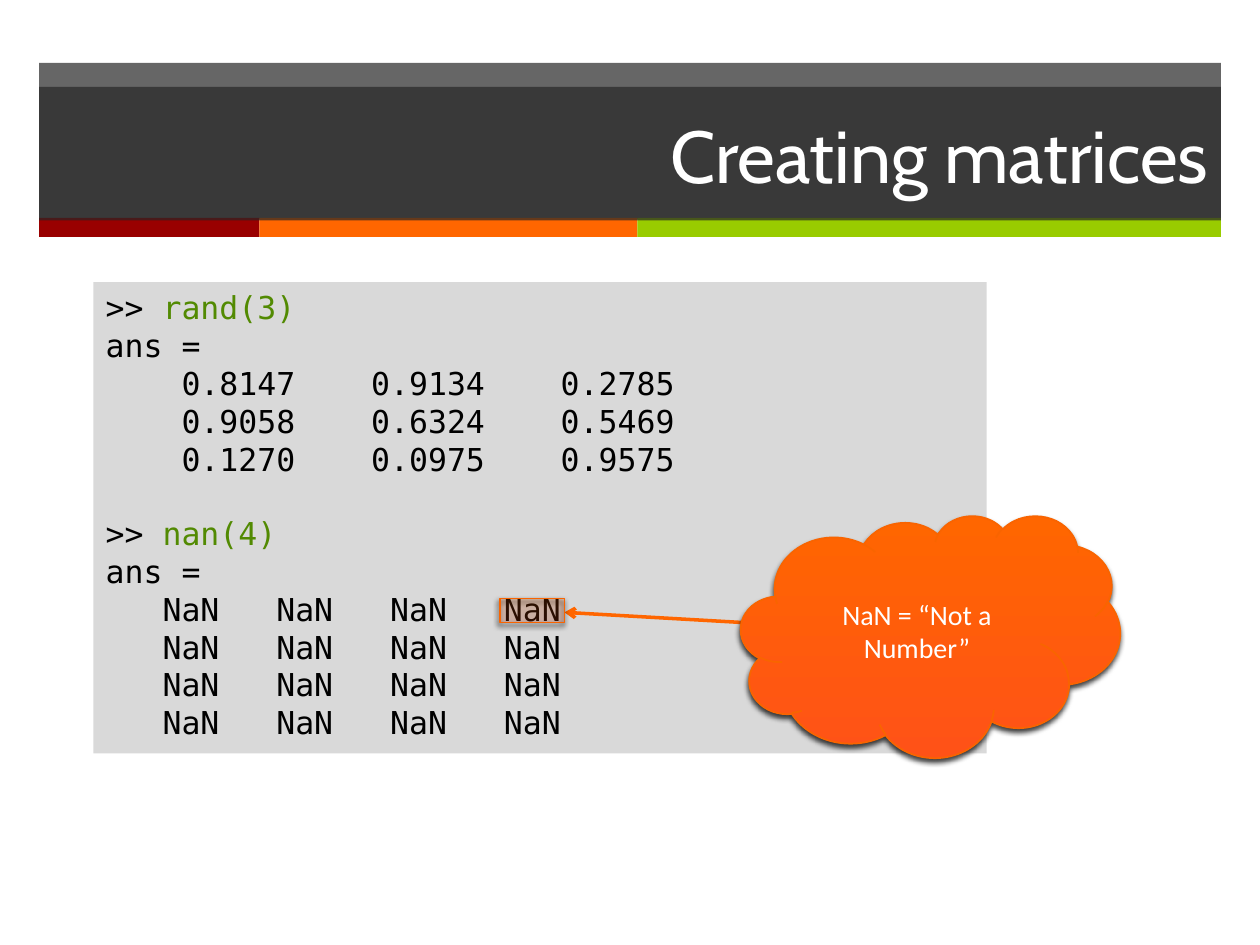
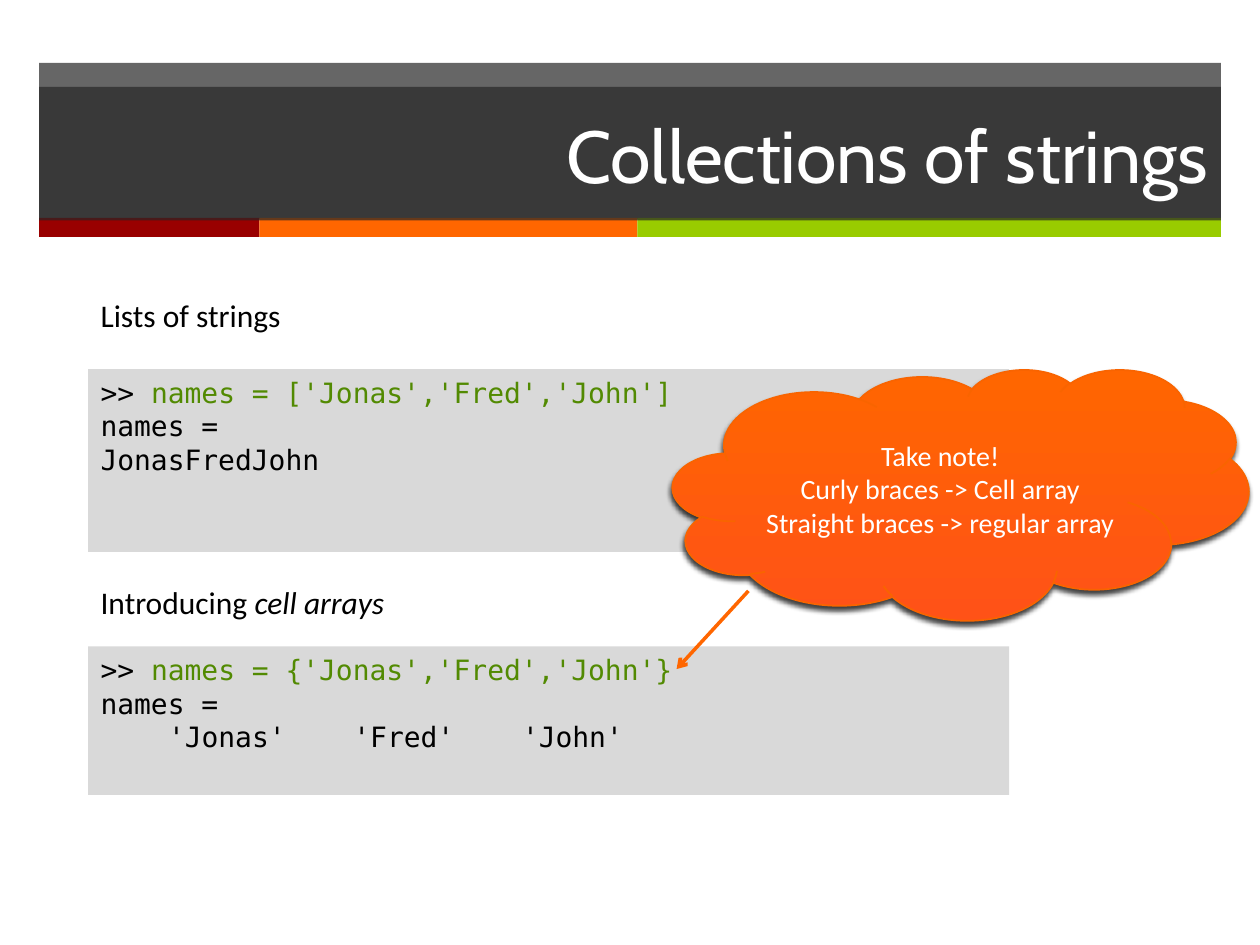
import lxml.etree
import pptx
import pptx.dml.color
import pptx.enum.shapes
import pptx.enum.text
import pptx.oxml.ns
import pptx.util

BLACK, WHITE, CHARCOAL, PANEL = "000000", "FFFFFF", "262626", "D9D9D9"
GREEN_INPUT, ORANGE, RED_ORANGE, OUTLINE = "528A02", "FF6600", "FF5217", "F96400"
TITLE_FONT, BODY_FONT, CODE_FONT = "Cabin", "Calibri", "DejaVu Sans Mono"
CHARACTER_WIDTH = 0.602  # width of a code character, as a share of the font size
LINE_HEIGHT = 1.164  # height of a code line, as a share of the font size

SHAPES = pptx.enum.shapes.MSO_SHAPE
ALIGN = pptx.enum.text.PP_ALIGN
ANCHOR = pptx.enum.text.MSO_ANCHOR

presentation = pptx.Presentation()
presentation.slide_width = pptx.util.Inches(10)
presentation.slide_height = pptx.util.Inches(7.5)
cell = presentation.slide_width / 100  # square grid of 100 columns and 75 rows


def colour(hex_string):
    return pptx.dml.color.RGBColor.from_string(hex_string)


def add_element(parent, tag, **attributes):
    element = lxml.etree.SubElement(parent, pptx.oxml.ns.qn(tag))
    for name, value in attributes.items():
        element.set(name, str(value))
    return element


# Bands across the top: left, top, width, height, colour
bands = [(3.1, 5, 93.8, 12.4, CHARCOAL)]
left = 3.1
for width, band_colour in ((17.5, "990000"), (30, ORANGE), (46.3, "99CC00")):
    bands.append((left, 17.3, width, 1.5, band_colour))
    left += width

# A line is a list of runs, every second one emphasised,
# or a table row: the gap in characters before each value, and the values
random_rows = [(4, ["0.8147", "0.9134", "0.2785"]),
               (4, ["0.9058", "0.6324", "0.5469"]),
               (4, ["0.1270", "0.0975", "0.9575"])]
nan_rows = [(3, ["NaN"] * 4)] * 4

slides = [
    {"title": "Creating matrices",
     "code": [((7.4, 22.4, 70.9, 37.4), 18,
               [[">> ", "rand(3)"], ["ans ="], *random_rows,
                [">> ", "nan(4)"], ["ans ="], *nan_rows])],
     "labels": [],
     "highlights": [(39.7, 47.5, 5.1, 1.9)],
     "arrow": (58.8, 49.4, 44.8, 48.6),
     "cloud": (58.8, 40.9, 30.1, 19.2),
     "message": ["NaN = “Not a Number”"]},
    {"title": "Collections of strings",
     "code": [((7, 29.3, 73.1, 14.5), 16,
               [[">> ", "names = ['Jonas','Fred','John']"], ["names ="], ["JonasFredJohn"]]),
              ((7, 51.3, 73.1, 11.8), 16,
               [[">> ", "names = {'Jonas','Fred','John'}"], ["names ="],
                (4, ["'Jonas'", "'Fred'", "'John'"])])],
     "labels": [((7, 23, 35.4, 4), 18, [["Lists of strings"]]),
                ((7, 45.8, 32.2, 4), 18, [["Introducing ", "cell arrays"]])],
     "highlights": [],
     "arrow": (59.4, 46.9, 53.7, 53.1),
     "cloud": (53.4, 29.3, 45.7, 19.9),
     "message": ["Take note!", "Curly braces -> Cell array",
                 "Straight braces -> regular array"]},
]

for content in slides:
    slide = presentation.slides.add_slide(presentation.slide_layouts[5])

    # Bands
    for *place, band_colour in bands:
        band = slide.shapes.add_shape(SHAPES.RECTANGLE, *[round(v * cell) for v in place])
        band.fill.solid()
        band.fill.fore_color.rgb = colour(band_colour)
        band.line.fill.background()
        band.shadow.inherit = False
        if band_colour == CHARCOAL:
            add_element(next(band.element.iter(pptx.oxml.ns.qn("a:srgbClr"))), "a:alpha", val=70000)

    # Title, in front of the bands
    title = slide.shapes.title
    title.element.getparent().append(title.element)
    title.left, title.top, title.width, title.height = [
        round(v * cell) for v in (3.1, 6.9, 93.8, 10.6)]
    title.fill.solid()
    title.fill.fore_color.rgb = colour(CHARCOAL)
    add_element(next(title.element.iter(pptx.oxml.ns.qn("a:srgbClr"))), "a:alpha", val=70000)
    title.text_frame.text = content["title"]
    title.text_frame.auto_size = pptx.enum.text.MSO_AUTO_SIZE.NONE
    title.text_frame.vertical_anchor = ANCHOR.MIDDLE
    paragraph = title.text_frame.paragraphs[0]
    paragraph.alignment = ALIGN.RIGHT
    font = paragraph.runs[0].font
    font.name, font.size = TITLE_FONT, pptx.util.Pt(42)
    font.color.rgb = colour(WHITE)

    # Code panels and labels
    for kind in ("code", "labels"):
        for place, size, lines in content[kind]:
            box = slide.shapes.add_textbox(*[round(v * cell) for v in place])
            box.text_frame.word_wrap = True
            if kind == "code":
                box.fill.solid()
                box.fill.fore_color.rgb = colour(PANEL)
            for number, line in enumerate(lines):
                paragraph = box.text_frame.paragraphs[0] if number == 0 else box.text_frame.add_paragraph()
                if isinstance(line, tuple):
                    gap, values = line
                    tab_list = add_element(paragraph._p.get_or_add_pPr(), "a:tabLst")
                    column = 0
                    for value in values:
                        column += gap
                        position = pptx.util.Pt(column * size * CHARACTER_WIDTH)
                        add_element(tab_list, "a:tab", pos=position, algn="l")
                        column += len(value)
                    line = ["".join("\t" + value for value in values)]
                elif number > 0 and line[0] == ">> ":
                    paragraph.space_before = pptx.util.Pt(round(size * LINE_HEIGHT))
                for index, text in enumerate(line):
                    run = paragraph.add_run()
                    run.text = text
                    run.font.size = pptx.util.Pt(size)
                    run.font.name = CODE_FONT if kind == "code" else BODY_FONT
                    run.font.color.rgb = colour(GREEN_INPUT if kind == "code" and index == 1 else BLACK)
                    if kind == "labels" and index == 1:
                        run.font.italic = True

    # Arrow from the cloud to the code
    arrow = slide.shapes.add_connector(pptx.enum.shapes.MSO_CONNECTOR.STRAIGHT,
                                       *[round(v * cell) for v in content["arrow"]])
    arrow.line.color.rgb = colour(ORANGE)
    arrow.line.width = pptx.util.Pt(2)
    add_element(arrow.line._get_or_add_ln(), "a:tailEnd", type="arrow")
    add_element(arrow.element.spPr, "a:effectLst")

    # Highlight frames and the cloud share gradient, outline and shadow
    accents = [(SHAPES.RECTANGLE, place, 16) for place in content["highlights"]]
    accents.append((SHAPES.CLOUD, content["cloud"], 100))
    for preset, place, opacity in accents:
        accent = slide.shapes.add_shape(preset, *[round(v * cell) for v in place])
        accent.fill.gradient()
        accent.fill.gradient_angle = 90
        for stop, stop_colour in zip(accent.fill.gradient_stops, (RED_ORANGE, ORANGE)):
            stop.color.rgb = colour(stop_colour)
        if opacity < 100:
            for stop_element in list(accent.element.spPr.iter(pptx.oxml.ns.qn("a:srgbClr"))):
                add_element(stop_element, "a:alpha", val=opacity * 1000)
        accent.line.color.rgb = colour(OUTLINE)
        accent.line.width = pptx.util.Pt(1)
        accent.shadow.inherit = False
        effects = accent.element.spPr.find(pptx.oxml.ns.qn("a:effectLst"))
        shadow = add_element(effects, "a:outerShdw", blurRad=pptx.util.Pt(3), dist=pptx.util.Pt(2),
                             dir=110 * 60000, rotWithShape=0)
        add_element(add_element(shadow, "a:srgbClr", val=BLACK), "a:alpha", val=75000)

    # Message in the cloud, the last accent drawn
    accent.text_frame.word_wrap = True
    accent.text_frame.vertical_anchor = ANCHOR.MIDDLE
    accent.text_frame.text = "\n".join(content["message"])
    for paragraph in accent.text_frame.paragraphs:
        paragraph.alignment = ALIGN.CENTER
        font = paragraph.runs[0].font
        font.name, font.size = BODY_FONT, pptx.util.Pt(16)
        font.color.rgb = colour(WHITE)

presentation.save("out.pptx")
